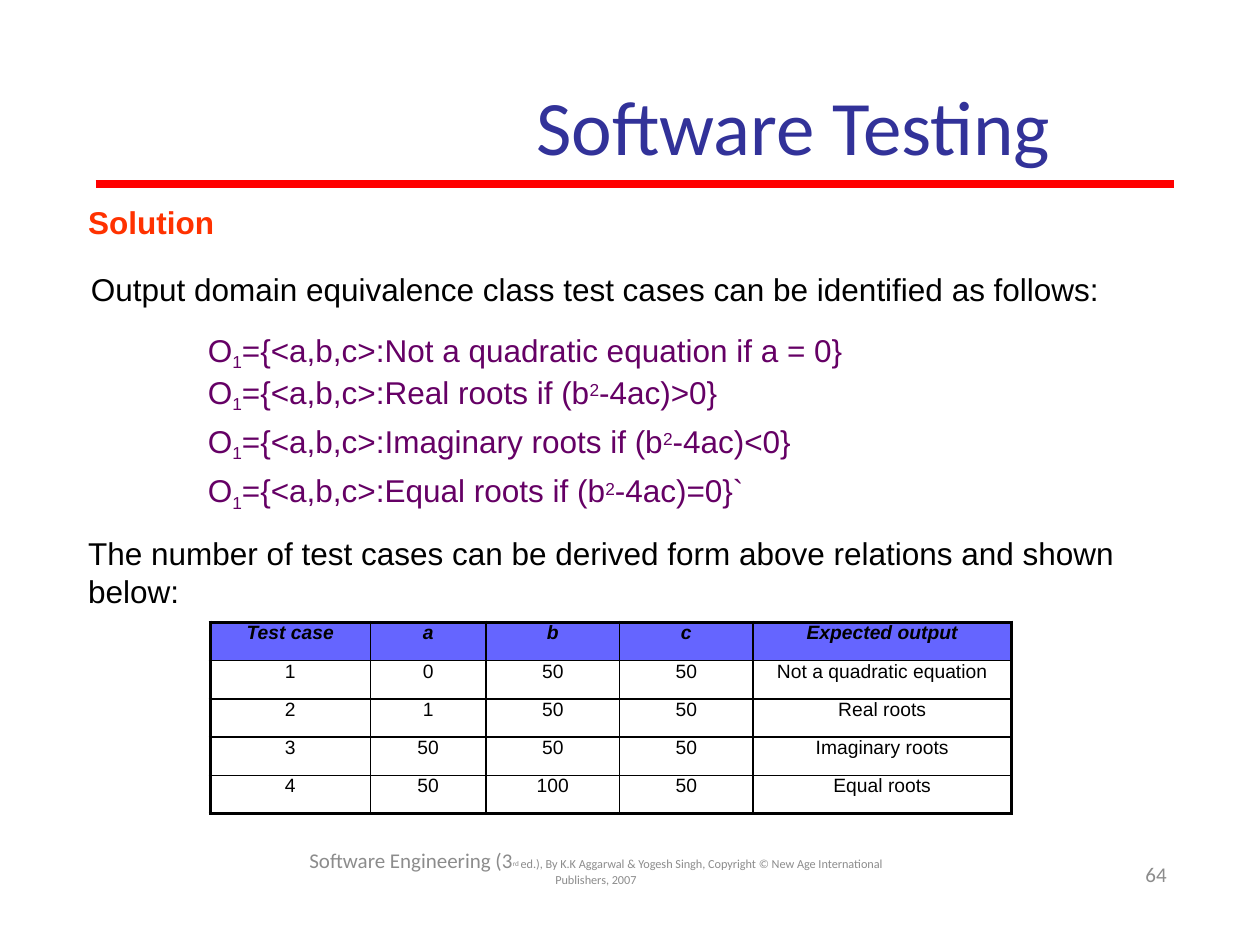
from dataclasses import dataclass
from lxml.etree import SubElement
from pptx import Presentation
from pptx.dml.color import RGBColor
from pptx.enum.shapes import MSO_CONNECTOR
from pptx.enum.text import MSO_ANCHOR, MSO_AUTO_SIZE, PP_ALIGN
from pptx.oxml.ns import qn
from pptx.util import Pt


@dataclass(frozen=True)
class Theme:
    """Fonts, colours and type sizes of the slide."""
    head: str = "Calibri"
    text: str = "Arial"
    title: str = "323299"
    rule: str = "FF0000"
    lead: str = "FF3200"
    ink: str = "000000"
    math: str = "650065"
    grey: str = "8C8C8C"
    band: str = "6565FF"
    paper: str = "FFFFFF"
    big: float = 44
    body: float = 18
    script: float = 17
    cell: float = 11
    note: float = 12
    small: float = 7


THEME = Theme()
SUB, SUP = -21, 26

RELATIONS = [
    (15.3, "Not a quadratic equation if a = 0}", None),
    (2.5, "Real roots if (b", "-4ac)>0}"),
    (6.5, "Imaginary roots if (b", "-4ac)<0}"),
    (7, "Equal roots if (b", "-4ac)=0}`"),
]
WIDTHS = [91.4, 66.2, 76.3, 76.3, 147.6]
CASES = [
    ["Test case", "a", "b", "c", "Expected output"],
    ["1", "0", "50", "50", "Not a quadratic equation"],
    ["2", "1", "50", "50", "Real roots"],
    ["3", "50", "50", "50", "Imaginary roots"],
    ["4", "50", "100", "50", "Equal roots"],
]


def place(shape, box):
    """Move a shape to a box given in points."""
    shape.left, shape.top, shape.width, shape.height = map(Pt, box)


def frame(shape, anchor, top=0):
    """Clear the margins of a shape's text and return its frame."""
    text = shape.text_frame
    text.word_wrap = True
    text.auto_size = MSO_AUTO_SIZE.NONE
    text.vertical_anchor = anchor
    text.margin_left = text.margin_right = text.margin_bottom = 0
    text.margin_top = Pt(top)
    return text


def style(para, face, color, size=None, bold=None, italic=None):
    """Set the font that all runs of a paragraph share."""
    font = para.font
    font.name = face
    font.color.rgb = RGBColor.from_string(color)
    if size:
        font.size = Pt(size)
    font.bold, font.italic = bold, italic


def indent(para, left):
    """Set a plain left indent without a bullet."""
    props = para._p.get_or_add_pPr()
    props.set("marL", str(Pt(left)))
    props.set("indent", "0")
    SubElement(props, qn("a:buNone"))


def add_run(para, text, size=None, base=0):
    """Add a run, raised or lowered by a percentage."""
    run = para.add_run()
    run.text = text
    if size:
        run.font.size = Pt(size)
    if base:
        run._r.get_or_add_rPr().set("baseline", str(base * 1000))


def draw_title(slide, box):
    """Fill the title and centre it in the right part of the box."""
    shape = slide.shapes.title
    place(shape, box)
    para = frame(shape, MSO_ANCHOR.MIDDLE, 8.6).paragraphs[0]
    indent(para, 187)
    para.alignment = PP_ALIGN.CENTER
    style(para, THEME.head, THEME.title, THEME.big)
    add_run(para, "Software Testing")


def draw_rule(slide, box):
    """Draw the line under the title."""
    left, top, width, _ = box
    line = slide.shapes.add_connector(
        MSO_CONNECTOR.STRAIGHT, Pt(left), Pt(top), Pt(left + width), Pt(top))
    line.line.color.rgb = RGBColor.from_string(THEME.rule)
    line.line.width = Pt(4.5)
    SubElement(line._element.spPr, qn("a:effectLst"))


def draw_body(slide, box):
    """Fill the body with the solution and its relations."""
    shape = slide.placeholders[1]
    place(shape, box)
    text = frame(shape, MSO_ANCHOR.TOP)

    def add_para(left, before, color, bold=False):
        """Add a paragraph to the body."""
        para = text.add_paragraph() if before else text.paragraphs[0]
        indent(para, left)
        para.line_spacing = Pt(21.5)
        para.space_before = Pt(before)
        style(para, THEME.text, color, THEME.body, bold)
        return para

    add_run(add_para(0.7, 0, THEME.lead, True), "Solution")
    add_run(add_para(2.2, 16.8, THEME.ink),
            "Output domain equivalence class test cases can be identified as follows:")
    for before, start, end in RELATIONS:
        para = add_para(69.1, before, THEME.math)
        add_run(para, "O")
        add_run(para, "1", THEME.script, SUB)
        add_run(para, "={<a,b,c>:" + start)
        if end:
            add_run(para, "2", THEME.script, SUP)
            add_run(para, end)
    add_run(add_para(0.7, 12.5, THEME.ink),
            "The number of test cases can be derived form above relations and shown below:")


def add_edge(cell, side, width):
    """Draw one border of a cell."""
    line = SubElement(cell._tc.get_or_add_tcPr(), qn("a:" + side), w=str(Pt(width)))
    fill = SubElement(line, qn("a:solidFill"))
    SubElement(fill, qn("a:srgbClr"), val=THEME.ink)


def draw_table(slide, box):
    """Draw the test cases with a heavy outer border."""
    rows, cols = len(CASES), len(WIDTHS)
    table = slide.shapes.add_table(rows, cols, *map(Pt, box)).table
    table.horz_banding = False
    for col, width in zip(table.columns, WIDTHS):
        col.width = Pt(width)
    for r, values in enumerate(CASES):
        table.rows[r].height = Pt(box[3] / rows)
        for c, value in enumerate(values):
            cell = table.cell(r, c)
            cell.margin_left = cell.margin_right = 0
            cell.margin_top = cell.margin_bottom = 0
            outer = {"lnL": c == 0, "lnR": c == cols - 1,
                     "lnT": r == 0, "lnB": r == rows - 1}
            for side, heavy in outer.items():
                add_edge(cell, side, 2.25 if heavy else 1)
            cell.fill.solid()
            cell.fill.fore_color.rgb = RGBColor.from_string(
                THEME.paper if r else THEME.band)
            para = cell.text_frame.paragraphs[0]
            para.alignment = PP_ALIGN.CENTER
            style(para, THEME.text, THEME.ink, THEME.cell, r == 0, r == 0)
            add_run(para, value)


def draw_note(slide, box, parts, align, pitch, top=0):
    """Draw a grey note from its runs of text, size and shift."""
    shape = slide.shapes.add_textbox(*map(Pt, box))
    para = frame(shape, MSO_ANCHOR.MIDDLE, top).paragraphs[0]
    para.alignment = align
    para.line_spacing = Pt(pitch)
    style(para, THEME.head, THEME.grey)
    for part in parts:
        add_run(para, *part)


def main():
    """Build the slide and save it."""
    deck = Presentation()
    deck.slide_width, deck.slide_height = Pt(720), Pt(540)
    slide = deck.slides.add_slide(deck.slide_layouts[1])
    draw_title(slide, (36, 36, 648, 62))
    draw_rule(slide, (54.7, 105.1, 616.3, 0))
    draw_body(slide, (49.7, 115.9, 593.3, 228.2))
    draw_note(slide, (600.5, 465.8, 66.2, 47.5), [("64", THEME.note)],
              PP_ALIGN.RIGHT, 13.2, 20.9)
    draw_note(slide, (162.7, 491, 355.7, 15.8), [
        ("Software Engineering (3", THEME.note),
        ("rd ", THEME.small, 22),
        ("ed.), By K.K Aggarwal & Yogesh Singh, Copyright © New Age "
         "International Publishers, 2007", THEME.small),
    ], PP_ALIGN.CENTER, 7.8)
    draw_table(slide, (120.2, 355.6, sum(WIDTHS), 109.5))
    deck.save("out.pptx")


if __name__ == "__main__":
    main()
